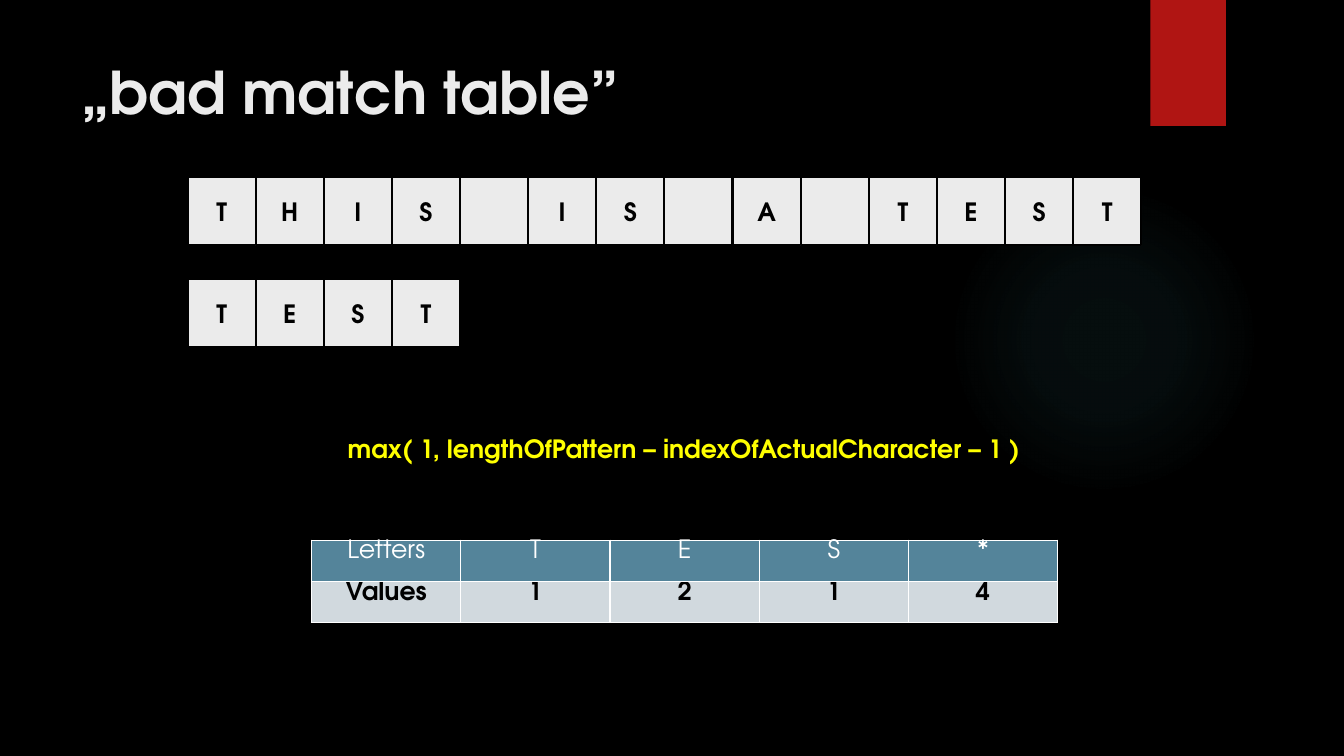
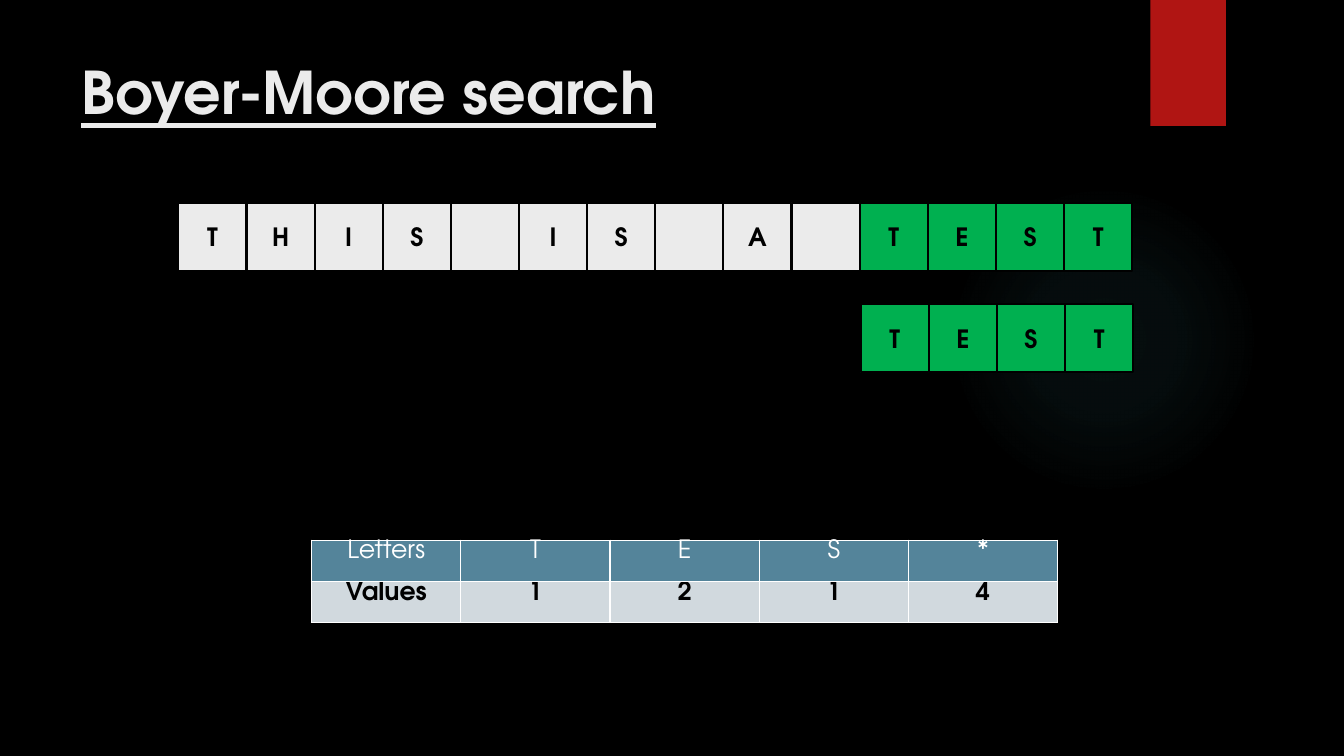
"""Build two slides on the Boyer-Moore search and its bad match table."""
from pptx import Presentation
from pptx.dml.color import RGBColor
from pptx.enum.shapes import MSO_SHAPE as Shape
from pptx.enum.text import MSO_ANCHOR as Anchor, PP_ALIGN as Align
from pptx.oxml import parse_xml
from pptx.util import Inches, Pt

COLORS = {
    "black": "000000", "white": "FFFFFF", "light": "EBEBEB", "red": "B01513",
    "green": "00B050", "yellow": "FFFF00", "header": "54849A",
    "values": "D1D9DE", "glow": "50B9C1",
}
FONT = "TeX Gyre Adventor"
NAMESPACE = 'xmlns:a="http://schemas.openxmlformats.org/drawingml/2006/main"'
SENTENCE = "THIS IS A TEST"
PATTERN = "TEST"
BAD_MATCHES = [["Letters", "T", "E", "S", "*"], ["Values", "1", "2", "1", "4"]]
LETTER_PITCH = 9.46 / len(SENTENCE)
PATTERN_DROP = 1.01


def rgb(name):
    return RGBColor.from_string(COLORS[name])


def write(frame, text, size=18, color="black", bold=True, underline=None,
          align=Align.LEFT, anchor=Anchor.TOP):
    frame.word_wrap = True
    frame.vertical_anchor = anchor
    paragraph = frame.paragraphs[0]
    paragraph.alignment = align
    run = paragraph.add_run()
    run.text = text
    font = run.font
    font.name, font.size = FONT, Pt(size)
    font.bold, font.underline = bold, underline
    font.color.rgb = rgb(color)


class Deck:
    def __init__(self):
        self.show = Presentation()
        self.show.slide_width = Inches(13.33)
        self.show.slide_height = Inches(7.5)
        self.slide = None

    def start(self, title, underline=None):
        self.slide = self.show.slides.add_slide(self.show.slide_layouts[6])
        background = self.slide.background.fill
        background.solid()
        background.fore_color.rgb = rgb("black")
        self.glow(9.41, 1.83, 3.08)
        self.block(11.41, 0, 0.75, 1.25, "red")
        self.text(0.71, 0.5, 10.29, 0.91, title, size=42, color="light",
                  underline=underline)

    def shape(self, kind, left, top, width, height):
        shape = self.slide.shapes.add_shape(
            kind, Inches(left), Inches(top), Inches(width), Inches(height))
        shape.shadow.inherit = False
        shape.line.fill.background()
        return shape

    def glow(self, left, top, diameter):
        halo = self.shape(Shape.OVAL, left, top, diameter, diameter)
        stops = "".join(
            f'<a:gs pos="{place}000"><a:srgbClr val="{COLORS["glow"]}">'
            f'<a:alpha val="{alpha}000"/></a:srgbClr></a:gs>'
            for place, alpha in ((0, 7), (36, 6), (69, 0)))
        gradient = parse_xml(
            f'<a:gradFill {NAMESPACE}><a:gsLst>{stops}</a:gsLst>'
            '<a:path path="circle"><a:fillToRect l="50000" t="50000" '
            'r="50000" b="50000"/></a:path></a:gradFill>')
        halo._element.spPr.insert(2, gradient)

    def block(self, left, top, width, height, fill):
        block = self.shape(Shape.RECTANGLE, left, top, width, height)
        block.fill.solid()
        block.fill.fore_color.rgb = rgb(fill)
        return block

    def text(self, left, top, width, height, content, **style):
        box = self.slide.shapes.add_textbox(
            Inches(left), Inches(top), Inches(width), Inches(height))
        write(box.text_frame, content, **style)

    def letters(self, left, top, word, matched_from=None):
        for index, letter in enumerate(word):
            matched = matched_from is not None and index >= matched_from
            square = self.block(left + index * LETTER_PITCH, top, LETTER_PITCH,
                                LETTER_PITCH, "green" if matched else "light")
            square.line.color.rgb = rgb("black")
            square.line.width = Pt(1.5)
            if letter != " ":
                write(square.text_frame, letter, align=Align.CENTER,
                      anchor=Anchor.MIDDLE)

    def table(self, left, top, rows, column_width=1.48, row_height=0.41):
        columns = len(rows[0])
        grid = self.slide.shapes.add_table(
            len(rows), columns, Inches(left), Inches(top),
            Inches(columns * column_width),
            Inches(len(rows) * row_height)).table
        for row_index, row in enumerate(rows):
            header = row_index == 0
            for column_index, content in enumerate(row):
                cell = grid.cell(row_index, column_index)
                self.borders(cell)
                cell.fill.solid()
                cell.fill.fore_color.rgb = rgb("header" if header else "values")
                cell.margin_top = cell.margin_bottom = 0
                write(cell.text_frame, content, bold=not header,
                      color="white" if header else "black", align=Align.CENTER)

    def borders(self, cell):
        properties = cell._tc.get_or_add_tcPr()
        for side in "LRTB":
            properties.append(parse_xml(
                f'<a:ln{side} {NAMESPACE} w="{Pt(1)}"><a:solidFill>'
                f'<a:srgbClr val="{COLORS["white"]}"/></a:solidFill>'
                f'</a:ln{side}>'))


deck = Deck()
match_start = len(SENTENCE) - len(PATTERN)

deck.start("„bad match table”")
deck.text(3.35, 4.25, 9.18, 0.4,
          "max( 1, lengthOfPattern – indexOfActualCharacter – 1 )",
          color="yellow")
deck.table(3.09, 5.36, BAD_MATCHES)
deck.letters(1.86, 1.76, SENTENCE)
deck.letters(1.86, 1.76 + PATTERN_DROP, PATTERN)

deck.start("Boyer-Moore search", underline=True)
deck.letters(1.77, 2.01, SENTENCE, matched_from=match_start)
deck.letters(1.78 + match_start * LETTER_PITCH, 2.01 + PATTERN_DROP, PATTERN,
             matched_from=0)
deck.table(3.09, 5.36, BAD_MATCHES)

deck.show.save("out.pptx")
